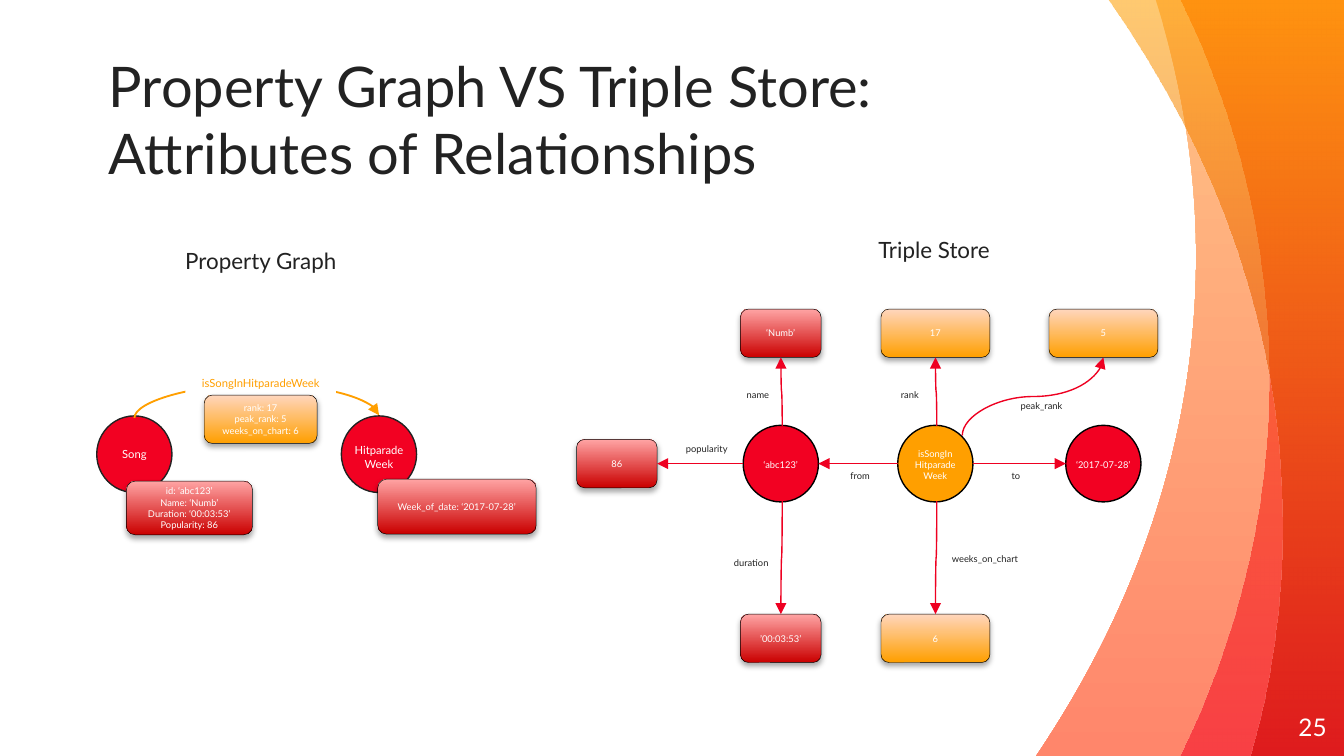
from dataclasses import dataclass

from lxml.etree import SubElement
from pptx import Presentation
from pptx.dml.color import RGBColor
from pptx.enum.shapes import MSO_CONNECTOR as Connector, MSO_SHAPE as Shape
from pptx.enum.text import MSO_ANCHOR as Anchor, MSO_AUTO_SIZE as AutoSize, PP_ALIGN as Align
from pptx.oxml.ns import qn
from pptx.util import Inches, Pt


@dataclass(frozen=True)
class Theme:
    """Colours, type sizes and fixed measures of the slide."""
    font: str = "Lato"
    ink: str = "222222"
    white: str = "FFFFFF"
    black: str = "000000"
    red: str = "F20122"
    orange: str = "FF9F00"
    arrow: str = "EE0021"
    red_box: tuple = ("CA0000", "FFA4A4")
    orange_box: tuple = ("FF9F00", "FFD6BD")
    title: int = 30
    number: int = 13
    heading: int = 12
    name: int = 6
    small: int = 5
    circle: tuple = (0.56, 0.57)
    narrow: tuple = (0.6, 0.36)
    wide: tuple = (0.81, 0.36)


THEME = Theme()
WIDTH, HEIGHT = 10, 10 * 9 / 16
PROPERTY_COLUMNS = {"song": 1.0, "relation": 1.94, "week": 2.82}
PROPERTY_ROW = 3.38
COLUMNS = {"popularity": 4.59, "song": 5.81, "relation": 6.96, "week": 8.21}
TOP, MIDDLE, BOTTOM = 2.48, 3.45, 4.75
WAVES = [
    ([(7.71, HEIGHT), (8.47, 4.5), (8.9, 3.24), (8.9, 1.91), (8.9, 1.25), (8.79, 0.61), (8.6, 0)],
     ("FFC486", "FF866B"), 270, (100, 100)),
    ([(8.78, HEIGHT), (9.2, 4.76), (9.44, 3.81), (9.44, 2.82), (9.44, 1.84), (9.21, 0.89), (8.78, 0)],
     ("F20122", "FF6A00"), 90, (52, 72)),
    ([(9.3, HEIGHT), (9.46, 5.08), (9.54, 4.5), (9.54, 3.91), (9.54, 2.51), (9.08, 1.19), (8.25, 0)],
     ("FF9F00", "CC0000"), 270, (56, 57)),
]


def colour(value):
    """Turn a hex string into a colour."""
    return RGBColor.from_string(value)


def frame(center, size):
    """Return left, top, width and height for a centred box."""
    (x, y), (width, height) = center, size
    return [Inches(value) for value in (x - width / 2, y - height / 2, width, height)]


def write(shape, text, size, ink, align=Align.CENTER, anchor=Anchor.MIDDLE):
    """Fill a shape with text in one style."""
    body = shape.text_frame
    body.word_wrap = True
    body.vertical_anchor = anchor
    body.text = text
    for para in body.paragraphs:
        para.alignment = align
        for span in para.runs:
            span.font.name, span.font.size = THEME.font, Pt(size)
            span.font.color.rgb = colour(ink)


def paint_gradient(shape, colours, angle, opacities=(100, 100)):
    """Give a shape a two-stop gradient."""
    shape.fill.gradient()
    shape.fill.gradient_angle = angle
    for stop, value in zip(shape.fill.gradient_stops, colours):
        stop.color.rgb = colour(value)
    for tint, opacity in zip(shape.element.spPr.iter(qn("a:srgbClr")), opacities):
        if opacity < 100:
            SubElement(tint, qn("a:alpha"), val=str(opacity * 1000))


def add_wave(page, points, colours, angle, opacities):
    """Draw a band with a left edge of two cubic curves, reaching the right edge."""
    outline = [(Inches(x), Inches(y)) for x, y in points + [(WIDTH, 0), (WIDTH, HEIGHT)]]
    builder = page.shapes.build_freeform(*outline[0], scale=1)
    builder.add_line_segments(outline[1:], close=True)
    wave = builder.convert_to_shape()
    segments = list(wave.element.spPr.iter(qn("a:lnTo")))
    for first in (0, 3):
        curve = segments[first]
        for segment in segments[first + 1:first + 3]:
            curve.append(segment[0])
            segment.getparent().remove(segment)
        curve.tag = qn("a:cubicBezTo")
    wave.shadow.inherit = False
    wave.line.fill.background()
    paint_gradient(wave, colours, angle, opacities)


def add_circle(page, center, fill, line):
    """Draw a graph node."""
    circle = page.shapes.add_shape(Shape.OVAL, *frame(center, THEME.circle))
    circle.shadow.inherit = False
    circle.fill.solid()
    circle.fill.fore_color.rgb = colour(fill)
    circle.line.color.rgb = colour(line)
    circle.line.width = Pt(0.75)


def add_box(page, center, size, colours, text):
    """Draw a rounded value box with a soft shadow."""
    box = page.shapes.add_shape(Shape.ROUNDED_RECTANGLE, *frame(center, size))
    paint_gradient(box, colours, 90)
    box.line.color.rgb = colour(THEME.black)
    box.line.width = Pt(0.25)
    box.shadow.inherit = False
    effects = box.element.spPr.find(qn("a:effectLst"))
    shadow = SubElement(effects, qn("a:outerShdw"), blurRad=str(Pt(3.1)), dist=str(Pt(1.8)),
                        dir="5400000", rotWithShape="0")
    tint = SubElement(shadow, qn("a:srgbClr"), val=THEME.black)
    SubElement(tint, qn("a:alpha"), val="35000")
    write(box, text, THEME.small, THEME.white)


def add_label(page, center, text, size=THEME.small, ink=THEME.ink, width=0.8, align=Align.CENTER):
    """Place a text box whose height follows its lines."""
    lines = text.count("\v") + 1
    height = 0.1 + lines * size * 1.2 / 72
    label = page.shapes.add_textbox(*frame(center, (width, height)))
    write(label, text, size, ink, align)
    label.text_frame.auto_size = AutoSize.SHAPE_TO_FIT_TEXT
    return label


def add_arrow(page, start, end, vertical=False, ink=THEME.arrow, weight=0.75, bend=0.5):
    """Join two points with a curved arrow that leaves along the given axis."""
    (x1, y1), (x2, y2) = start, end
    down = y2 > y1
    if vertical:
        x, y = (x1 + x2) / 2, (y1 + y2) / 2
        run = abs(y2 - y1) / 2
        rise = (x1 - x2 if down else x2 - x1) / 2
        x1, y1, x2, y2 = x - run, y - rise, x + run, y + rise
    arrow = page.shapes.add_connector(Connector.CURVE, *map(Inches, (x1, y1, x2, y2)))
    properties = arrow.element.spPr
    if vertical:
        properties.find(qn("a:xfrm")).set("rot", str((90 if down else 270) * 60000))
    guides = properties.find(qn("a:prstGeom")).find(qn("a:avLst"))
    SubElement(guides, qn("a:gd"), name="adj1", fmla=f"val {round(bend * 100000)}")
    arrow.line.color.rgb = colour(ink)
    arrow.line.width = Pt(weight)
    SubElement(properties.find(qn("a:ln")), qn("a:tailEnd"), type="triangle")
    SubElement(properties, qn("a:effectLst"))


def add_plain_text(page, place, text, size, ink, align, anchor):
    """Place a text box without insets."""
    box = page.shapes.add_textbox(*map(Inches, place))
    body = box.text_frame
    body.margin_left = body.margin_right = body.margin_top = body.margin_bottom = 0
    write(box, text, size, ink, align, anchor)


def draw_property_graph(page):
    """Draw the two nodes and the edge that carries its own attributes."""
    song, relation, week = PROPERTY_COLUMNS.values()
    for x in (song, week):
        add_circle(page, (x, PROPERTY_ROW), THEME.red, THEME.ink)
    add_arrow(page, (song, 3.11), (week, 3.09), True, THEME.orange, 1, bend=12.5)
    add_box(page, (1.41, 3.78), (0.94, 0.4), THEME.red_box,
            "id: ‘abc123’\nName: ‘Numb’\nDuration: ‘00:03:53’\nPopularity: 86")
    add_box(page, (3.4, 3.77), (1.18, 0.41), THEME.red_box, "Week_of_date: ‘2017-07-28’")
    edge = add_label(page, (relation, 2.85), "isSongInHitparadeWeek", THEME.name, THEME.orange, 1.12)
    edge.fill.solid()
    edge.fill.fore_color.rgb = colour(THEME.white)
    add_box(page, (relation, 3.12), (0.84, 0.36), THEME.orange_box,
            "rank: 17\npeak_rank: 5\nweeks_on_chart: 6")
    add_label(page, (song, PROPERTY_ROW), "Song", THEME.name, THEME.white)
    add_label(page, (week, 3.4), "Hitparade\vWeek", THEME.name, THEME.white)
    add_label(page, (2.08, 1.94), "Property Graph", THEME.heading, width=1.6, align=Align.LEFT)


def draw_triple_store(page):
    """Draw the nodes, values and named edges of the triples."""
    popularity, song, relation, week = COLUMNS.values()
    for x, fill, text in ((song, THEME.red, "‘abc123’"), (week, THEME.red, "‘2017-07-28’"),
                          (relation, THEME.orange, "isSongIn\vHitparade\vWeek")):
        add_circle(page, (x, MIDDLE), fill, THEME.black)
        add_label(page, (x, MIDDLE + 0.01), text, ink=THEME.white)
    for x, y, text in ((song, TOP, "‘Numb’"), (song, BOTTOM, "’00:03:53’"), (popularity, MIDDLE, "86")):
        add_box(page, (x, y), THEME.narrow, THEME.red_box, text)
    for x, y, text in ((relation, TOP, "17"), (week, TOP, "5"), (relation, BOTTOM, "6")):
        add_box(page, (x, y), THEME.wide, THEME.orange_box, text)
    radius, half, lean = THEME.circle[0] / 2, THEME.narrow[1] / 2, 0.01
    for x in (song, relation):
        add_arrow(page, (x + lean, MIDDLE - radius), (x, TOP + half), True)
        add_arrow(page, (x + lean, MIDDLE + radius), (x, BOTTOM - half), True)
    add_arrow(page, (song - radius, MIDDLE), (popularity + THEME.narrow[0] / 2, MIDDLE))
    add_arrow(page, (relation - radius, MIDDLE), (song + radius, MIDDLE))
    add_arrow(page, (relation + radius, MIDDLE), (week - radius, MIDDLE))
    add_arrow(page, (7.16, 3.24), (week, TOP + half), True)
    for x, y, text in ((5.64, 2.94, "name"), (6.77, 2.94, "rank"), (7.75, 3.02, "peak_rank"),
                       (5.26, 3.34, "popularity"), (6.4, 3.54, "from"), (7.56, 3.54, "to"),
                       (5.59, 4.19, "duration"), (7.33, 4.16, "weeks_on_chart")):
        add_label(page, (x, y), text)
    add_label(page, (6.95, 1.86), "Triple Store", THEME.heading, width=1.6)


def main():
    """Build and save the slide."""
    deck = Presentation()
    deck.slide_width, deck.slide_height = Inches(WIDTH), Inches(HEIGHT)
    page = deck.slides.add_slide(deck.slide_layouts[6])
    for wave in WAVES:
        add_wave(page, *wave)
    add_plain_text(page, (0.81, 0.57, 6.6, 0.81), "Property Graph VS Triple Store: Attributes of Relationships",
                   THEME.title, THEME.ink, Align.LEFT, Anchor.BOTTOM)
    add_plain_text(page, (9.27, 5.19, 0.6, 0.43), "25", THEME.number, THEME.white, Align.RIGHT, Anchor.MIDDLE)
    draw_property_graph(page)
    draw_triple_store(page)
    deck.save("out.pptx")


if __name__ == "__main__":
    main()
